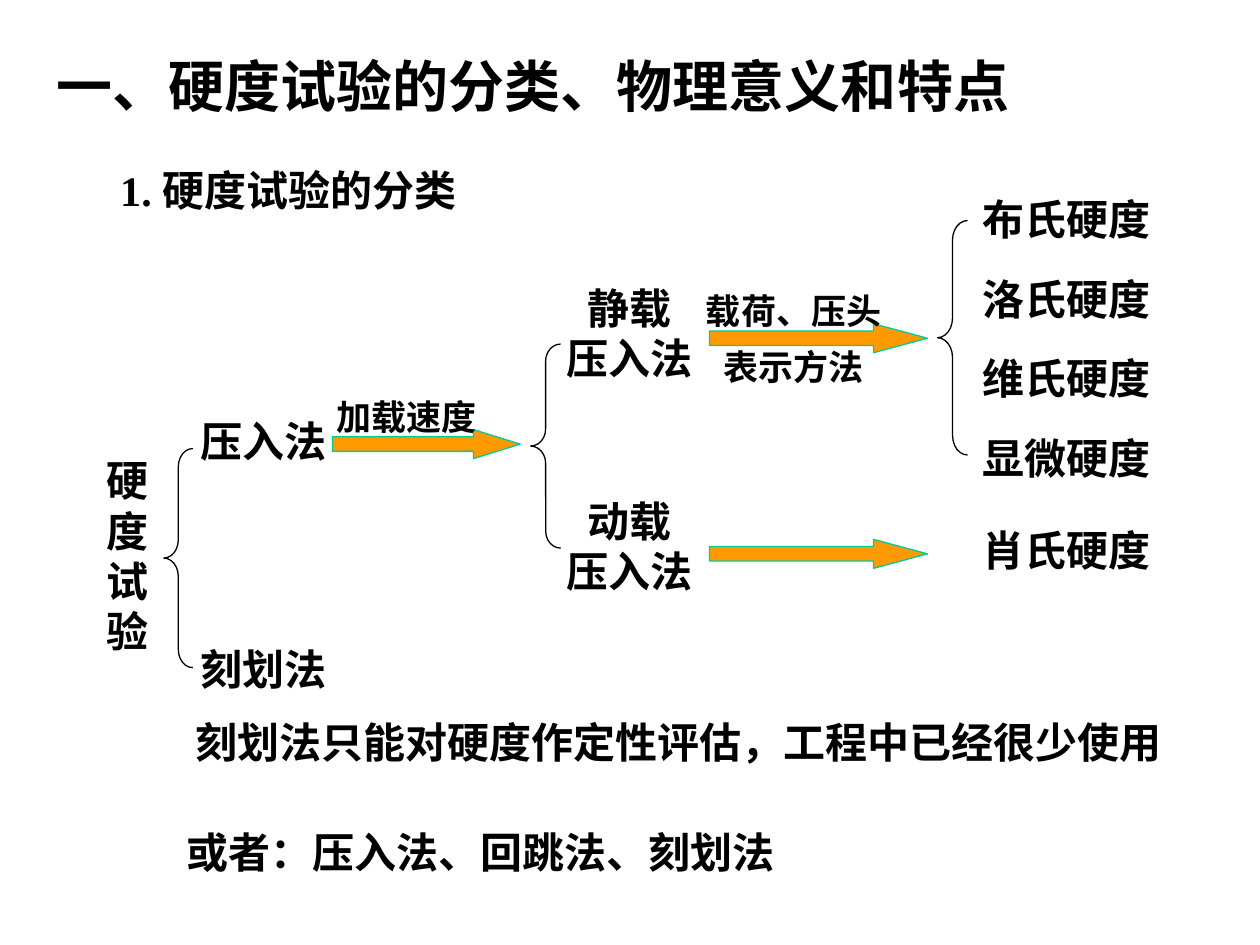
from pptx import Presentation
from pptx.dml.color import RGBColor
from pptx.enum.shapes import MSO_SHAPE
from pptx.enum.text import MSO_ANCHOR, MSO_AUTO_SIZE, PP_ALIGN
from pptx.util import Pt
from lxml.etree import SubElement
from pptx.oxml.ns import qn

BLACK = RGBColor(0x00, 0x00, 0x00)
ORANGE = RGBColor(0xFF, 0x99, 0x00)
GREEN = RGBColor(0x00, 0xCC, 0x99)
SERIF, SANS = "Times New Roman", "Arial"

# Content: headings
HEADING = "一、硬度试验的分类、物理意义和特点"
SUBHEADING = "1. 硬度试验的分类"

# Content: tree of test methods, as (lines, left, top, width)
ROOT = ("硬度试验", 54, 256.3, 28)
METHODS = [("压入法", 234), ("刻划法", 364.3)]
LOADINGS = [(["静载", "压入法"], 157.7), (["动载", "压入法"], 279.4)]
STATIC_TESTS = ["布氏硬度", "洛氏硬度", "维氏硬度", "显微硬度"]
DYNAMIC_TEST = ("肖氏硬度", 296)
CRITERIA = [
    ("加载速度", 184.3, 222.5, 96.5),
    ("载荷、压头", 393.8, 162, 119.5),
    ("表示方法", 393.8, 193.7, 119.5),
]
NOTES = [
    ("刻划法只能对硬度作定性评估，工程中已经很少使用", 104.4, 406, 573),
    ("或者：压入法、回跳法、刻划法", 99.4, 468.7, 357),
]

# Connecting marks: braces (left, top, width, height), arrows (left, top, width, head ratio)
BRACES = [
    (93.6, 256.3, 16.6, 125.2),
    (303.2, 196.6, 17.2, 116.6),
    (535.7, 126, 17.2, 134),
]
ARROWS = [
    (190, 245.5, 107.3, 1.61),
    (405.4, 185, 124.6, 1.86),
    (405.4, 308.2, 124.6, 1.86),
]

METHOD_LEFT, LOADING_LEFT, BRANCH_WIDTH = 105.1, 314.6, 90.7
TEST_LEFT, TEST_TOP, TEST_PITCH, TEST_WIDTH = 553, 107.3, 45.36, 113
ARROW_HEIGHT = 16.6
LINE_FACTOR, INSET = 1.2, 3.6


def write(frame, lines, size, font, align):
    frame.word_wrap = True
    frame.auto_size = MSO_AUTO_SIZE.NONE
    frame.vertical_anchor = MSO_ANCHOR.TOP
    for index, line in enumerate(lines):
        paragraph = frame.paragraphs[0] if index == 0 else frame.add_paragraph()
        paragraph.alignment = align
        paragraph.space_before = Pt(0)
        run = paragraph.add_run()
        run.text = line
        run.font.size = Pt(size)
        run.font.name = font
        run.font.bold = True
        run.font.color.rgb = BLACK


def place(shape, left, top, width, height):
    shape.left, shape.top = Pt(left), Pt(top)
    shape.width, shape.height = Pt(width), Pt(height)


def add_label(slide, lines, left, top, width, size=24, font=SERIF,
              align=PP_ALIGN.CENTER, rows=None):
    height = (rows or len(lines)) * size * LINE_FACTOR + 2 * INSET
    box = slide.shapes.add_textbox(Pt(left), Pt(top), Pt(width), Pt(height))
    write(box.text_frame, lines, size, font, align)


def add_mark(slide, preset, left, top, width, height, line_color):
    mark = slide.shapes.add_shape(preset, Pt(left), Pt(top), Pt(width), Pt(height))
    mark.shadow.inherit = False
    mark.line.color.rgb = line_color
    mark.line.width = Pt(0.75)
    return mark


def add_headings(slide):
    title, body = slide.shapes.title, slide.placeholders[1]
    place(title, 25.2, 26, 566.6, 46)
    write(title.text_frame, [HEADING], 32, SERIF, PP_ALIGN.LEFT)
    place(body, 61.5, 90.5, 360, 36)
    properties = body.text_frame.paragraphs[0]._p.get_or_add_pPr()
    properties.set("marL", "0")
    properties.set("indent", "0")
    SubElement(properties, qn("a:buNone"))
    write(body.text_frame, [SUBHEADING], 24, SERIF, PP_ALIGN.LEFT)


def add_marks(slide):
    for left, top, width, height in BRACES:
        brace = add_mark(slide, MSO_SHAPE.LEFT_BRACE, left, top, width, height, BLACK)
        brace.fill.background()
        brace.adjustments[0] = height / 12 / width
    for left, top, width, head in ARROWS:
        arrow = add_mark(slide, MSO_SHAPE.RIGHT_ARROW, left, top, width,
                         ARROW_HEIGHT, GREEN)
        arrow.fill.solid()
        arrow.fill.fore_color.rgb = ORANGE
        arrow.adjustments[1] = head


def add_labels(slide):
    # The narrow root box wraps to one character per line
    root, left, top, width = ROOT
    add_label(slide, [root], left, top, width, align=PP_ALIGN.LEFT, rows=len(root))
    for method, top in METHODS:
        add_label(slide, [method], METHOD_LEFT, top, BRANCH_WIDTH)
    for loading, top in LOADINGS:
        add_label(slide, loading, LOADING_LEFT, top, BRANCH_WIDTH, font=SANS)
    for criterion, left, top, width in CRITERIA:
        add_label(slide, [criterion], left, top, width, size=20, font=SANS)
    tests = [(test, TEST_TOP + row * TEST_PITCH)
             for row, test in enumerate(STATIC_TESTS)]
    for test, top in tests + [DYNAMIC_TEST]:
        add_label(slide, [test], TEST_LEFT, top, TEST_WIDTH)
    for note, left, top, width in NOTES:
        add_label(slide, [note], left, top, width, align=PP_ALIGN.LEFT)


def main():
    presentation = Presentation()
    presentation.slide_width, presentation.slide_height = Pt(720), Pt(540)
    slide = presentation.slides.add_slide(presentation.slide_layouts[1])
    add_headings(slide)
    add_marks(slide)
    add_labels(slide)
    presentation.save("out.pptx")


if __name__ == "__main__":
    main()
